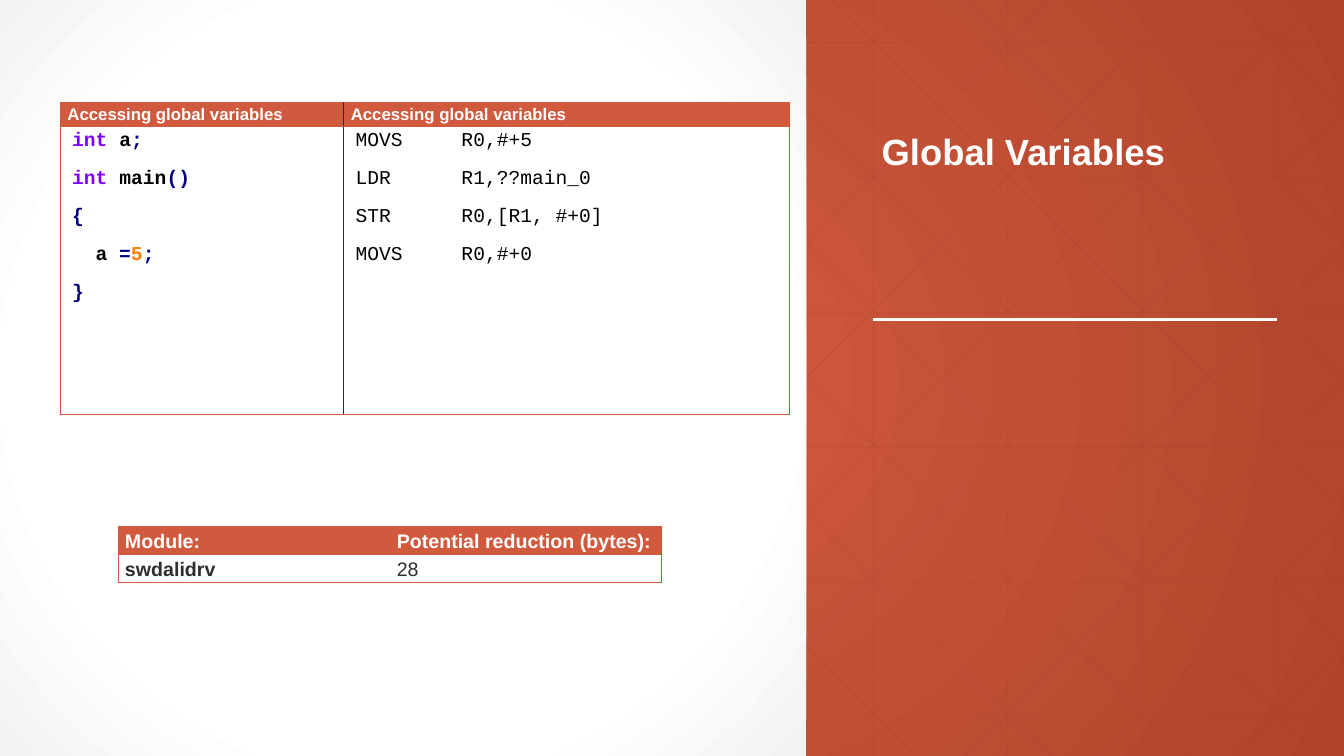
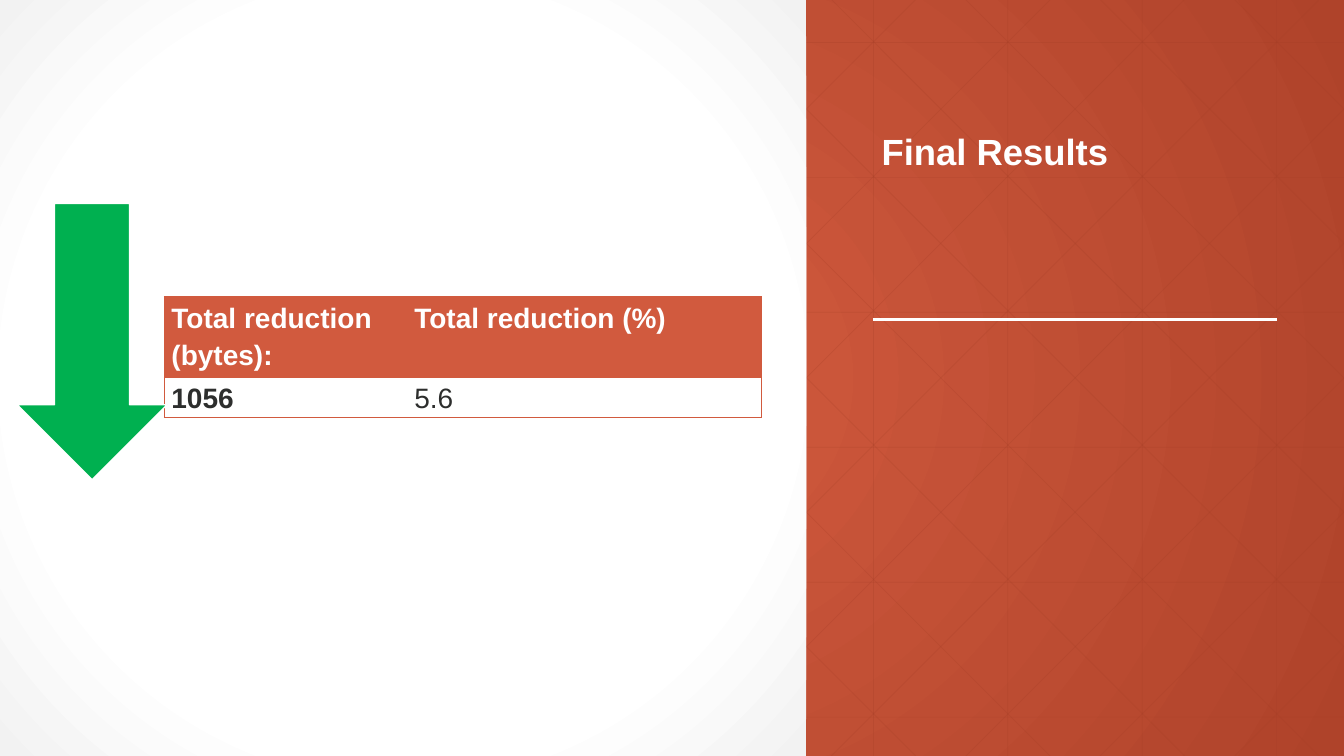
from dataclasses import dataclass

from lxml import etree
from pptx import Presentation
from pptx.dml.color import RGBColor as RGB
from pptx.enum.shapes import MSO_CONNECTOR as CONN, MSO_SHAPE as SHAPE
from pptx.enum.text import MSO_ANCHOR as ANCHOR
from pptx.oxml.ns import qn
from pptx.util import Cm, Pt


@dataclass(frozen=True)
class Theme:
    accent: str = "D15A3E"
    accent_dark: str = "AF432A"
    grid: str = "A43F27"
    white: str = "FFFFFF"
    edge: str = "F2F2F2"
    text: str = "2D2E2D"
    arrow: str = "00B050"
    black: str = "000000"
    keyword: str = "8000FF"
    symbol: str = "000080"
    number: str = "FF8000"
    font: str = "Arial"
    mono: str = "Courier New"
    title: int = 26
    result: int = 20
    body: int = 14
    caption: int = 12


T = Theme()
W, H = 33.87, 19.05
STEP = W / 10
HEAD_SPACING = {"line_spacing": 1.2, "space_before": Pt(2)}
CODE_SPACING = {"line_spacing": 1.2, "space_after": Pt(8)}


def apply(obj, values):
    for name, value in values.items():
        setattr(obj, name, value)


def add(parent, tag, **attrs):
    return etree.SubElement(parent, qn(tag), {k: str(v) for k, v in attrs.items()})


def add_radial(fill, host, stops):
    fill.gradient()
    grad = host.find(".//" + qn("a:gradFill"))
    grad.clear()
    gs_lst = add(grad, "a:gsLst")
    for pos, color in stops:
        add(add(gs_lst, "a:gs", pos=pos * 1000), "a:srgbClr", val=color)
    center = add(grad, "a:path", path="circle")
    add(center, "a:fillToRect", **dict.fromkeys("ltrb", 50000))


def add_line(slide, x1, y1, x2, y2, color, width, opacity=100):
    cxn = slide.shapes.add_connector(CONN.STRAIGHT, Cm(x1), Cm(y1), Cm(x2), Cm(y2))
    cxn.line.width = Pt(width)
    cxn.line.color.rgb = RGB.from_string(color)
    if opacity < 100:
        add(cxn.element.find(".//" + qn("a:srgbClr")), "a:alpha", val=opacity * 1000)
    add(cxn.element.spPr, "a:effectLst")


def add_preset(slide, kind, x, y, w, h):
    sp = slide.shapes.add_shape(kind, Cm(x), Cm(y), Cm(w), Cm(h))
    sp.shadow.inherit = False
    return sp


def write(tf, paras, spacing, font, size, bold=True):
    for i, runs in enumerate(paras):
        p = tf.paragraphs[0] if i == 0 else tf.add_paragraph()
        apply(p, spacing)
        for text, color in runs:
            r = p.add_run()
            r.text = text
            apply(r.font, {"name": font, "size": Pt(size), "bold": bold})
            r.font.color.rgb = RGB.from_string(color)


def add_title(slide, text):
    tf = slide.shapes.add_textbox(Cm(21.97), Cm(2.06), Cm(10.69), Cm(2.44)).text_frame
    apply(tf, {"word_wrap": True, "vertical_anchor": ANCHOR.BOTTOM})
    write(tf, [[(text, T.white)]], {"line_spacing": 0.9}, T.font, T.title)


def add_border(tc_pr, side, line):
    if line is None:
        add(add(tc_pr, "a:ln" + side, w=0), "a:noFill")
        return
    color, width = line
    ln = add(tc_pr, "a:ln" + side, w=Pt(width))
    add(add(ln, "a:solidFill"), "a:srgbClr", val=color)


def style_cell(cell, row, col, divider, inset):
    frame = (T.accent, 0.5)
    tc_pr = cell._tc.get_or_add_tcPr()
    lines = {"L": divider if col else frame, "R": frame if col else divider,
             "T": frame, "B": frame}
    for side, line in lines.items():
        add_border(tc_pr, side, line)
    cell.fill.solid()
    cell.fill.fore_color.rgb = RGB.from_string(T.white if row else T.accent)
    apply(cell, {"margin_left": Cm(inset), "margin_right": Cm(inset),
                 "margin_top": 0, "margin_bottom": 0})


def add_two_column_table(slide, x, y, cols, rows, headings, size,
                         divider=None, body_inset=0.18):
    tbl = slide.shapes.add_table(2, 2, Cm(x), Cm(y), Cm(sum(cols)), Cm(sum(rows))).table
    tbl.horz_banding = False
    for col, width in zip(tbl.columns, cols):
        col.width = Cm(width)
    for row, height in zip(tbl.rows, rows):
        row.height = Cm(height)
    for r in range(2):
        for c in range(2):
            style_cell(tbl.cell(r, c), r, c, divider, body_inset if r else 0.18)
    for c, heading in enumerate(headings):
        write(tbl.cell(0, c).text_frame, [[(heading, T.white)]],
              HEAD_SPACING, T.font, size)
    return tbl


def add_result_table(slide, x, y, cols, row_height, headings, values, size):
    tbl = add_two_column_table(slide, x, y, cols, [row_height] * 2, headings, size)
    for c, value in enumerate(values):
        write(tbl.cell(1, c).text_frame, [[(value, T.text)]],
              HEAD_SPACING, T.font, size, bold=c == 0)


def add_code_table(slide):
    tbl = add_two_column_table(slide, 1.52, 2.57, [7.14, 11.23], [0.48, 7.26],
                               ["Accessing global variables"] * 2, T.caption,
                               divider=(T.text, 1), body_inset=0.3)
    source = [
        [("int", T.keyword), (" a", T.black), (";", T.symbol)],
        [("int", T.keyword), (" main", T.black), ("()", T.symbol)],
        [("{", T.symbol)],
        [("a ", T.black), ("=", T.symbol), ("5", T.number), (";", T.symbol)],
        [("}", T.symbol)],
    ]
    assembly = ["MOVS\tR0,#+5", "LDR\tR1,??main_0", "STR\tR0,[R1, #+0]", "MOVS\tR0,#+0"]
    code, listing = (tbl.cell(1, c).text_frame for c in range(2))
    write(code, source, CODE_SPACING, T.mono, T.body)
    code.paragraphs[3]._p.get_or_add_pPr().set("marL", str(Cm(0.59)))
    write(listing, [[(line, T.black)] for line in assembly],
          CODE_SPACING, T.mono, T.body, bold=False)
    for p in listing.paragraphs:
        tabs = add(p._p.get_or_add_pPr(), "a:tabLst")
        add(tabs, "a:tab", pos=Cm(2.67), algn="l")


def add_grid(slide):
    style = (T.grid, 0.5, 25)
    for i in range(10):
        x = 1.69 + i * STEP
        add_line(slide, x, 0, x, H, *style)
    for i in range(6):
        y = 1.07 + i * 3.4
        add_line(slide, 0, y, W, y, *style)
    for i in range(-5, 10):
        x = 0.64 + i * STEP
        top, bottom = max(0, -x), min(H, W - x)
        add_line(slide, x + top, top, x + bottom, bottom, *style)
        add_line(slide, W - x - top, top, W - x - bottom, bottom, *style)


def build_layout(layout, slide):
    for ph in list(layout.placeholders):
        layout.shapes.element.remove(ph.element)
    add_radial(layout.background.fill, layout.element,
               [(0, T.accent), (100, T.accent_dark)])
    add_grid(slide)
    panel = add_preset(slide, SHAPE.RECTANGLE, 0, 0, 20.32, H)
    add_radial(panel.fill, panel.element.spPr,
               [(0, T.white), (69, T.white), (100, T.edge)])
    panel.line.fill.background()
    add_line(slide, 22, 8.05, 32.18, 8.05, T.white, 1.5)
    for sp in list(slide.shapes):
        layout.shapes.element.append(sp.element)


def add_down_arrow(slide):
    sp = add_preset(slide, SHAPE.DOWN_ARROW, 0.43, 5.13, 3.78, 6.96)
    sp.fill.solid()
    sp.fill.fore_color.rgb = RGB.from_string(T.arrow)
    sp.line.color.rgb = RGB.from_string(T.white)
    sp.line.width = Pt(1)


def build_global_variables(slide):
    add_title(slide, "Global Variables")
    add_code_table(slide)
    add_result_table(slide, 2.97, 13.26, [6.85, 6.85], 0.51,
                     ["Module:", "Potential reduction (bytes):"],
                     ["swdalidrv", "28"], T.body)


def build_final_results(slide):
    add_title(slide, "Final Results")
    add_result_table(slide, 4.14, 7.47, [6.12, 8.92], 0.74,
                     ["Total reduction (bytes):", "Total reduction (%)"],
                     ["1056", "5.6"], T.result)
    add_down_arrow(slide)


def main():
    prs = Presentation()
    apply(prs, {"slide_width": Cm(W), "slide_height": Cm(H)})
    layout = prs.slide_layouts[6]
    first, second = (prs.slides.add_slide(layout) for _ in range(2))
    build_layout(layout, first)
    build_global_variables(first)
    build_final_results(second)
    prs.save("out.pptx")


main()
